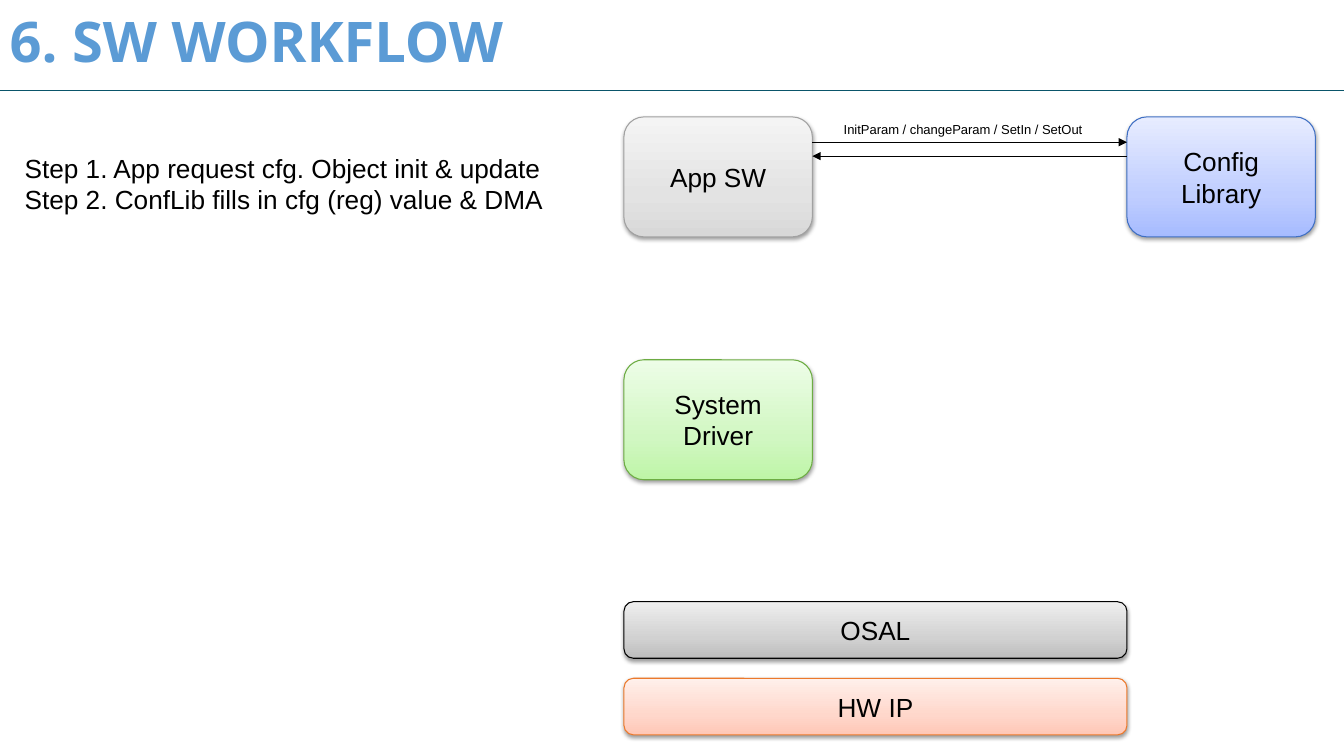
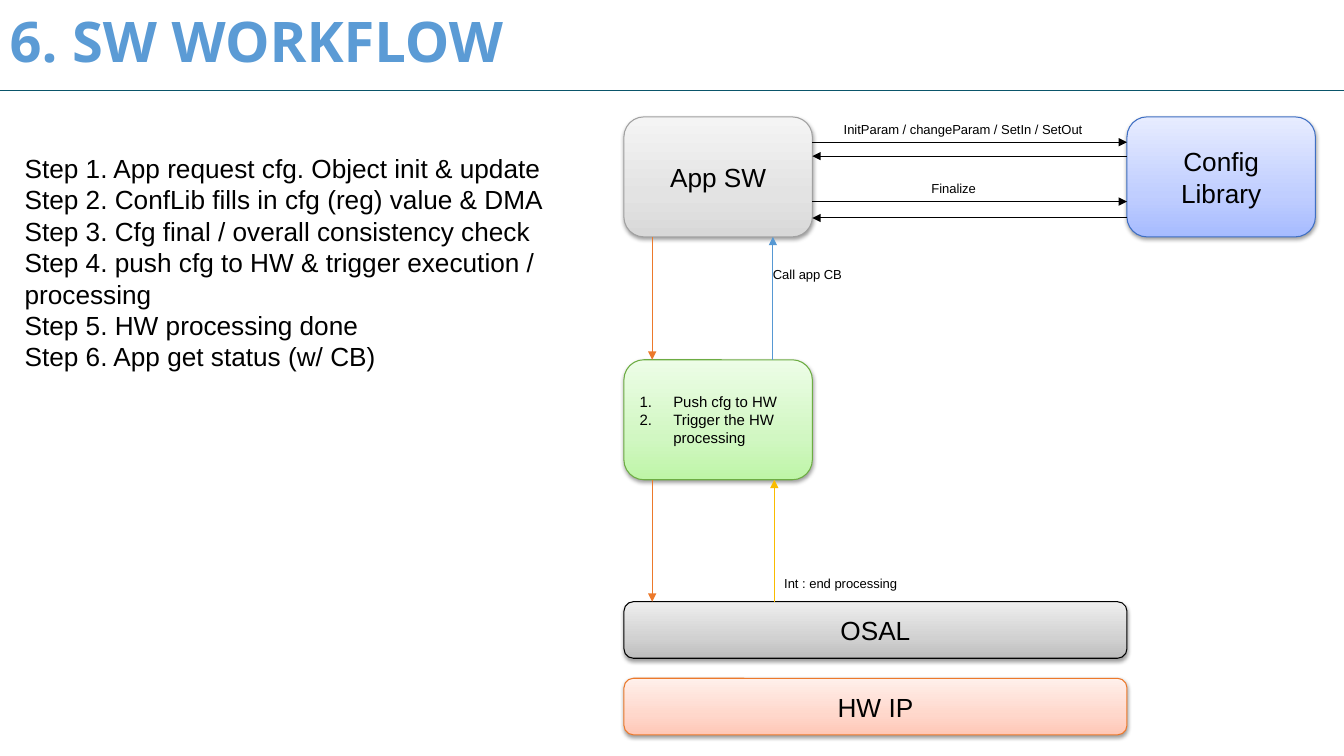
from copy import deepcopy
from dataclasses import dataclass

from lxml import etree
from pptx import Presentation
from pptx.dml.color import RGBColor
from pptx.enum import shapes, text
from pptx.oxml.ns import qn
from pptx.util import Pt


@dataclass(frozen=True)
class Theme:
    title: str = "5B9BD5"
    rule: str = "0A556A"
    ink: str = "000000"
    push: str = "EC792B"
    interrupt: str = "F9BC00"
    callback: str = "5698D3"
    # Each box style is its outline, then its gradient from bottom to top.
    app: tuple = ("A1A1A1", "D8D8D8", "E3E3E3", "F4F4F4")
    library: tuple = ("3F6FC3", "A6BBFF", "C0CEFF", "E7ECFF")
    driver: tuple = ("6DAC43", "BEF5A7", "D1F7C2", "EDFDE7")
    osal: tuple = ("000000", "BDBDBD", "D1D1D1", "EEEEEE")
    hardware: tuple = ("EC792B", "FFC7B6", "FFD7CB", "FFF0EB")
    stops: tuple = (0, 0.35, 1)
    title_font: str = "Noto Sans"
    body_font: str = "Arial"
    title_size: float = 40
    body_size: float = 18.7
    list_size: float = 10.7
    label_size: float = 9.3
    line_width: float = 0.75


T = Theme()


def write(sp, lines, size=T.body_size, font=T.body_font, color=T.ink, bold=False,
          align=text.PP_ALIGN.LEFT, anchor=text.MSO_ANCHOR.TOP, wrap=True,
          numbered=False, spacing=None):
    tf = sp.text_frame
    tf.word_wrap = wrap
    tf.vertical_anchor = anchor
    for i, line in enumerate(lines):
        p = tf.add_paragraph() if i else tf.paragraphs[0]
        p.alignment = align
        p.line_spacing = spacing
        if numbered:
            pPr = p._p.get_or_add_pPr()
            pPr.set("marL", str(Pt(24)))
            pPr.set("indent", str(-Pt(24)))
            etree.SubElement(pPr, qn("a:buFont"), typeface="+mj-lt")
            etree.SubElement(pPr, qn("a:buAutoNum"), type="arabicPeriod")
        r = p.add_run()
        r.text = line
        r.font.size = Pt(size)
        r.font.name = font
        r.font.bold = bold
        r.font.color.rgb = RGBColor.from_string(color)


def draw_line(slide, start, end, color=T.ink, arrow=True):
    cx = slide.shapes.add_connector(
        shapes.MSO_CONNECTOR.STRAIGHT, *(Pt(v) for v in (*start, *end)))
    cx.line.color.rgb = RGBColor.from_string(color)
    cx.line.width = Pt(T.line_width)
    spPr = cx._element.spPr
    if arrow:
        etree.SubElement(spPr.find(qn("a:ln")), qn("a:tailEnd"), type="triangle")
    etree.SubElement(spPr, qn("a:effectLst"))


WIDTH, HEIGHT = 960, 540
LEFT, RIGHT = 445.7, 805
BOX_W, BOX_H, BAR_H = 134.6, 85.7, 40.4
BAR_W = RIGHT - LEFT
APP_TOP, DRIVER_TOP, OSAL_TOP, HW_TOP = 83.5, 257, 429.8, 484.5
APP_RIGHT = LEFT + BOX_W
APP_BOTTOM, DRIVER_BOTTOM = APP_TOP + BOX_H, DRIVER_TOP + BOX_H
PUSH_X, CALLBACK_X, INTERRUPT_X = 465.9, 552.1, 553.1

BOXES = {
    "Config Library": (RIGHT, APP_TOP, BOX_W, BOX_H, T.library),
    "App SW": (LEFT, APP_TOP, BOX_W, BOX_H, T.app),
    "System Driver": (LEFT, DRIVER_TOP, BOX_W, BOX_H, T.driver),
    "HW IP": (LEFT, HW_TOP, BAR_W, BAR_H, T.hardware),
    "OSAL": (LEFT, OSAL_TOP, BAR_W, BAR_H, T.osal),
}
STEPS = [
    "Step 1. App request cfg. Object init & update",
    "Step 2. ConfLib fills in cfg (reg) value & DMA",
    "Step 3. Cfg final / overall consistency check",
    "Step 4. push cfg to HW & trigger execution / processing",
    "Step 5. HW processing done",
    "Step 6. App get status (w/ CB)",
]
DRIVER_TASKS = ["Push cfg to HW", "Trigger the HW processing"]
INIT_ARROWS = [
    ((APP_RIGHT, 101.6), (RIGHT, 101.6), T.ink),
    ((RIGHT, 111.5), (APP_RIGHT, 111.5), T.ink),
]
RUN_ARROWS = [
    ((APP_RIGHT, 144), (RIGHT, 144), T.ink),
    ((RIGHT, 155.7), (APP_RIGHT, 155.7), T.ink),
    ((PUSH_X, APP_BOTTOM), (PUSH_X, DRIVER_TOP), T.push),
    ((PUSH_X, DRIVER_BOTTOM), (PUSH_X, OSAL_TOP), T.push),
    ((INTERRUPT_X, OSAL_TOP), (INTERRUPT_X, DRIVER_BOTTOM), T.interrupt),
    ((CALLBACK_X, DRIVER_TOP), (CALLBACK_X, APP_BOTTOM), T.callback),
]
INIT_LABELS = [("InitParam / changeParam / SetIn / SetOut", 595.6, 83.5, 190)]
RUN_LABELS = [
    ("Finalize", 658.2, 125.2, 47.5),
    ("Int : end processing", 553.1, 407.7, 97),
    ("Call app CB", 545, 186.5, 65.5),
]
SLIDES = [
    (STEPS[:2], 52.5, None, INIT_ARROWS, INIT_LABELS),
    (STEPS, 165.5, DRIVER_TASKS, INIT_ARROWS + RUN_ARROWS, INIT_LABELS + RUN_LABELS),
]

prs = Presentation()
prs.slide_width, prs.slide_height = Pt(WIDTH), Pt(HEIGHT)

for steps, steps_h, tasks, arrows, labels in SLIDES:
    slide = prs.slides.add_slide(prs.slide_layouts[6])
    draw_line(slide, (0, 64.8), (WIDTH, 64.8), T.rule, arrow=False)

    title = slide.shapes.add_textbox(Pt(1.5), Pt(0.7), Pt(798.5), Pt(62.6))
    tf = title.text_frame
    tf.margin_left = tf.margin_right = Pt(5.4)
    tf.margin_top = tf.margin_bottom = Pt(2.7)
    write(title, ["6. SW WORKFLOW"], size=T.title_size, font=T.title_font,
          color=T.title, bold=True, anchor=text.MSO_ANCHOR.MIDDLE, spacing=0.9)

    for name, (x, y, w, h, (outline, *gradient)) in BOXES.items():
        sp = slide.shapes.add_shape(
            shapes.MSO_SHAPE.ROUNDED_RECTANGLE, Pt(x), Pt(y), Pt(w), Pt(h))
        sp.fill.gradient()
        sp.fill.gradient_angle = 90
        spPr = sp._element.spPr
        stop_list = spPr.find(".//" + qn("a:gsLst"))
        stop_list.insert(1, deepcopy(stop_list[0]))
        for stop, position, color in zip(sp.fill.gradient_stops, T.stops, gradient):
            stop.position = position
            stop.color.rgb = RGBColor.from_string(color)
        sp.line.color.rgb = RGBColor.from_string(outline)
        sp.line.width = Pt(T.line_width)

        sp.shadow.inherit = False
        shadow = etree.SubElement(
            spPr.find(qn("a:effectLst")), qn("a:outerShdw"), blurRad=str(Pt(3.1)),
            dist=str(Pt(1.6)), dir="5400000", rotWithShape="0")
        black = etree.SubElement(shadow, qn("a:srgbClr"), val="000000")
        etree.SubElement(black, qn("a:alpha"), val="38000")

        if tasks and name == "System Driver":
            write(sp, tasks, size=T.list_size, numbered=True,
                  anchor=text.MSO_ANCHOR.MIDDLE)
        else:
            write(sp, [name], align=text.PP_ALIGN.CENTER,
                  anchor=text.MSO_ANCHOR.MIDDLE)

    for start, end, color in arrows:
        draw_line(slide, start, end, color)

    for label, x, y, w in labels:
        sp = slide.shapes.add_textbox(Pt(x), Pt(y), Pt(w), Pt(18.5))
        write(sp, [label], size=T.label_size, wrap=False)

    sp = slide.shapes.add_textbox(Pt(10.5), Pt(105.2), Pt(406), Pt(steps_h))
    write(sp, steps)

prs.save("out.pptx")
